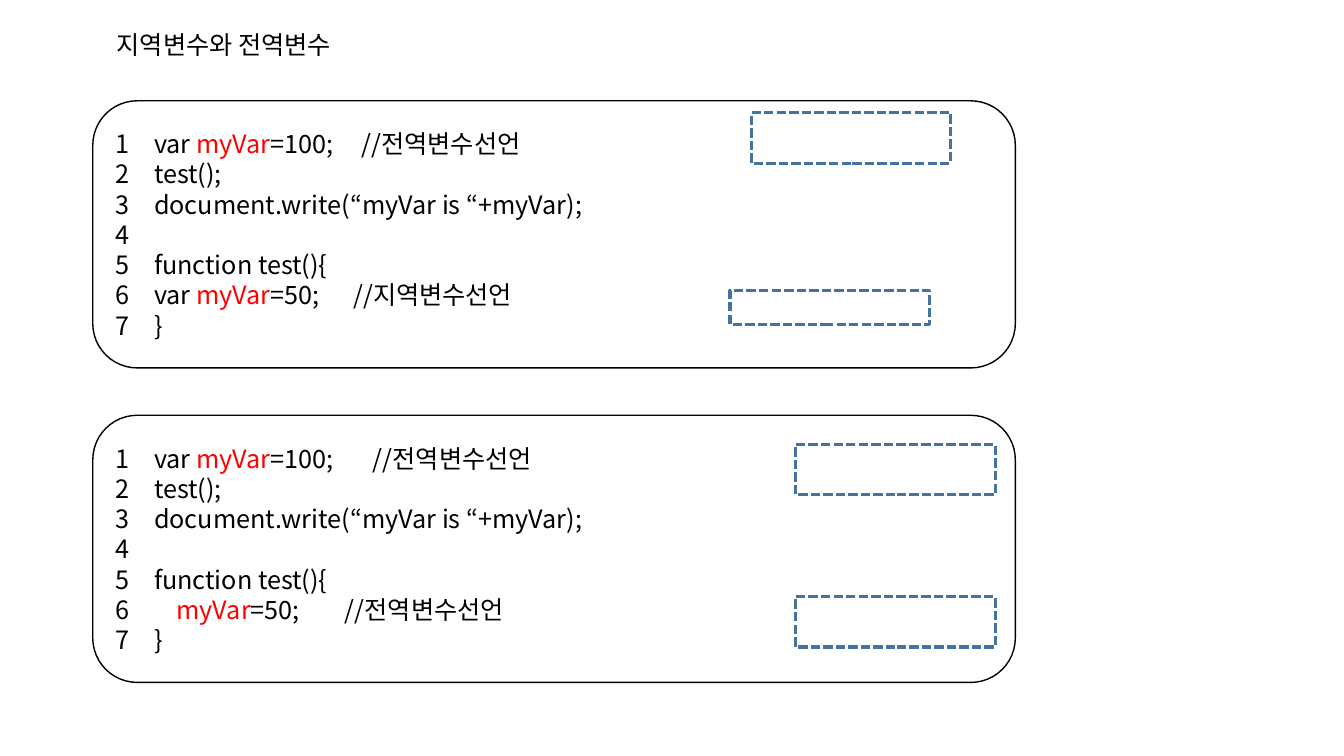
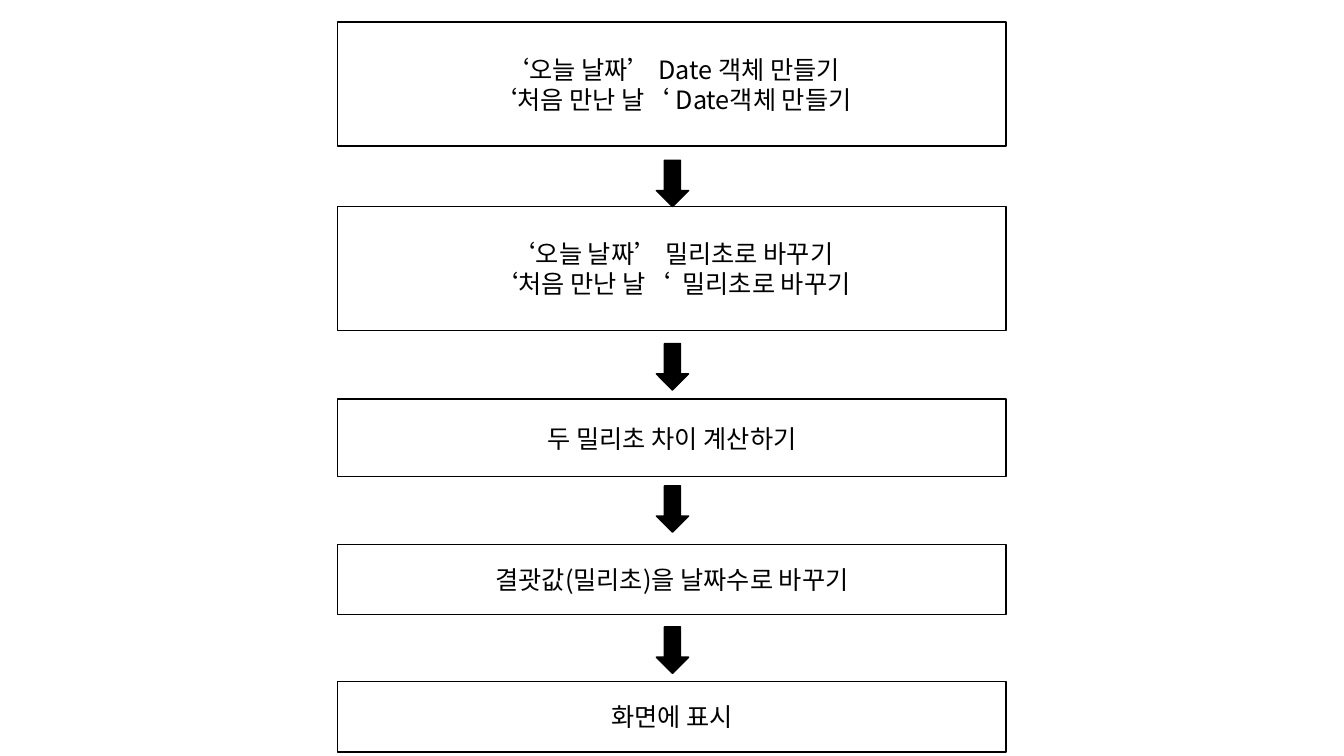
from pptx import Presentation
from pptx.dml.color import RGBColor
from pptx.enum.dml import MSO_LINE
from pptx.enum.shapes import MSO_SHAPE
from pptx.enum.text import MSO_ANCHOR, MSO_AUTO_SIZE, PP_ALIGN
from pptx.oxml.ns import qn
from pptx.util import Inches, Pt
from lxml.etree import SubElement

FONT = "Noto Sans CJK KR"
BLACK, WHITE, RED, BLUE = "000000", "FFFFFF", "FF0000", "43739E"


def add_box(slide, kind, rect, fill=None, line=BLACK, width=1):
    box = slide.shapes.add_shape(kind, *[Inches(v) for v in rect])
    box.shadow.inherit = False
    if fill:
        box.fill.solid()
        box.fill.fore_color.rgb = RGBColor.from_string(fill)
    else:
        box.fill.background()
    box.line.color.rgb = RGBColor.from_string(line)
    box.line.width = Pt(width)
    box.text_frame.word_wrap = True
    box.text_frame.vertical_anchor = MSO_ANCHOR.MIDDLE
    return box


def add_run(para, text, color=BLACK):
    run = para.add_run()
    run.text = text
    run.font.size = Pt(18)
    run.font.name = FONT
    run.font.color.rgb = RGBColor.from_string(color)
    SubElement(run.font._element, qn("a:ea"), typeface=FONT)


deck = Presentation()
deck.slide_width = Inches(13.33)
deck.slide_height = Inches(7.5)
blank = deck.slide_layouts[6]

slide = deck.slides.add_slide(blank)
panels = [
    (1, "var myVar=100;     //전역변수선언", "var myVar=50;      //지역변수선언"),
    (4.12, "var myVar=100;       //전역변수선언", "    myVar=50;        //전역변수선언"),
]
for top, first, inner in panels:
    panel = add_box(slide, MSO_SHAPE.ROUNDED_RECTANGLE, (0.92, top, 9.15, 2.65), WHITE)
    frame = panel.text_frame
    code = [first, "test();", "document.write(“myVar is “+myVar);", " ",
            "function test(){", inner, "}"]
    for i, text in enumerate(code):
        para = frame.paragraphs[0] if i == 0 else frame.add_paragraph()
        para.alignment = PP_ALIGN.LEFT
        props = para._p.get_or_add_pPr()
        props.set("marL", str(Inches(0.38)))
        props.set("indent", str(Inches(-0.38)))
        SubElement(props, qn("a:buFont"), typeface="+mj-lt")
        SubElement(props, qn("a:buAutoNum"), type="arabicPlain")
        head, mark, tail = text.partition("myVar=")
        if head:
            add_run(para, head)
        if mark:
            add_run(para, "myVar", RED)
            add_run(para, "=" + tail)

for left, top, height in [(7.45, 1.12, 0.5), (7.24, 2.88, 0.34),
                          (7.89, 4.41, 0.5), (7.89, 5.92, 0.5)]:
    note = add_box(slide, MSO_SHAPE.RECTANGLE, (left, top, 1.98, height), WHITE, BLUE, 2.25)
    note.line.dash_style = MSO_LINE.SQUARE_DOT

title = slide.shapes.add_textbox(Inches(1.06), Inches(0.24), Inches(7.65), Inches(0.4))
title.text_frame.word_wrap = True
title.text_frame.auto_size = MSO_AUTO_SIZE.SHAPE_TO_FIT_TEXT
add_run(title.text_frame.paragraphs[0], "지역변수와 전역변수")

slide = deck.slides.add_slide(blank)
steps = [
    (0.22, 1.23, ["‘오늘 날짜’ Date 객체 만들기", "‘처음 만난 날‘ Date객체 만들기"]),
    (2.05, 1.23, ["‘오늘 날짜’ 밀리초로 바꾸기", "‘처음 만난 날‘  밀리초로 바꾸기"]),
    (3.96, 0.77, ["두 밀리초 차이 계산하기"]),
    (5.4, 0.7, ["결괏값(밀리초)을 날짜수로 바꾸기"]),
    (6.76, 0.7, ["화면에 표시"]),
]
for top, height, lines in steps:
    step = add_box(slide, MSO_SHAPE.RECTANGLE, (3.35, top, 6.63, height))
    frame = step.text_frame
    for i, text in enumerate(lines):
        para = frame.paragraphs[0] if i == 0 else frame.add_paragraph()
        para.alignment = PP_ALIGN.CENTER
        add_run(para, text)

for top in (1.59, 3.41, 4.82, 6.22):
    add_box(slide, MSO_SHAPE.DOWN_ARROW, (6.51, top, 0.32, 0.46), BLACK)

deck.save("out.pptx")
